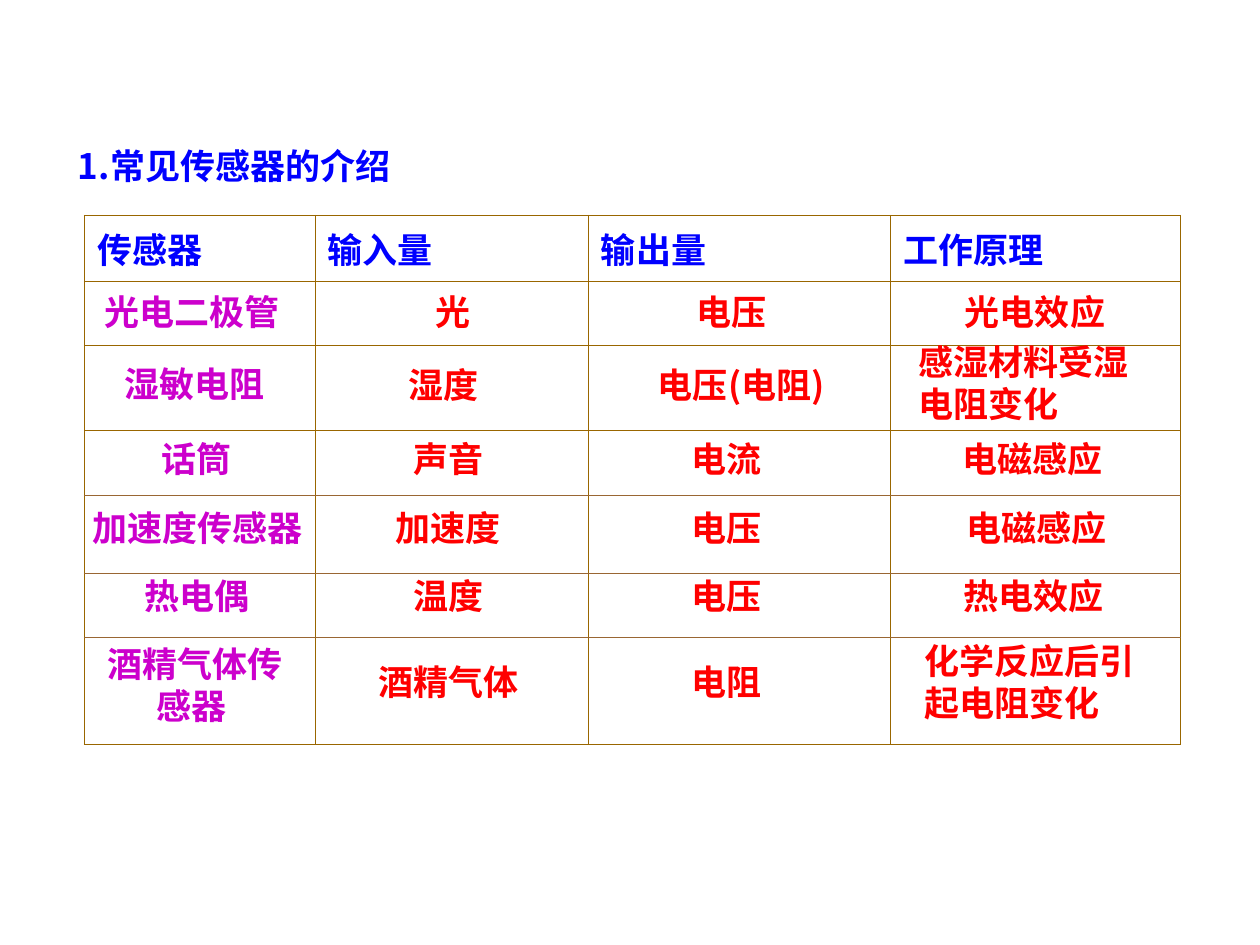
from lxml import etree
from pptx import Presentation
from pptx.dml.color import RGBColor
from pptx.enum.text import MSO_ANCHOR, MSO_AUTO_SIZE, PP_ALIGN
from pptx.oxml.ns import qn
from pptx.util import Inches, Pt

TOP, MIDDLE = MSO_ANCHOR.TOP, MSO_ANCHOR.MIDDLE
LEFT, CENTER = PP_ALIGN.LEFT, PP_ALIGN.CENTER
GROW = MSO_AUTO_SIZE.SHAPE_TO_FIT_TEXT
FONT = "Noto Sans CJK SC"
COLORS = {"blue": "0000FF", "red": "FF0000", "purple": "CC00CC",
          "brown": "996600", "dark": "996633"}


def write(frame, text, color="red", align=LEFT):
    par = frame.paragraphs[0]
    par.alignment = align
    run = par.add_run()
    run.text = text
    run.font.name = FONT
    run.font.size = Pt(20)
    run.font.bold = True
    run.font.color.rgb = RGBColor.from_string(COLORS[color])
    etree.SubElement(run.font._element, qn("a:ea"), typeface=FONT)


def border(cell, side, color, width):
    line = etree.SubElement(cell._tc.get_or_add_tcPr(), qn("a:" + side), w=str(Pt(width)))
    fill = etree.SubElement(line, qn("a:solidFill"))
    etree.SubElement(fill, qn("a:srgbClr"), val=COLORS[color])


prs = Presentation()
prs.slide_width, prs.slide_height = Inches(10), Inches(7.5)
slide = prs.slides.add_slide(prs.slide_layouts[6])

heads = ["传感器", "输入量", "输出量", "工作原理"]
widths = [1.83, 2.17, 2.4, 2.3]
heights = [0.52, 0.51, 0.68, 0.51, 0.62, 0.51, 0.85]
last_row, last_col = len(heights) - 1, len(widths) - 1
table = slide.shapes.add_table(len(heights), len(widths), Inches(0.67), Inches(1.71),
                               Inches(sum(widths)), Inches(sum(heights))).table
table.first_row = table.horz_banding = False
for col, width in zip(table.columns, widths):
    col.width = Inches(width)
for row, height in zip(table.rows, heights):
    row.height = Inches(height)

for r in range(len(heights)):
    for c in range(len(widths)):
        cell = table.cell(r, c)
        cell.vertical_anchor = MIDDLE
        border(cell, "lnL", "brown", 0.75 if c == 0 else 0.45)
        border(cell, "lnR", "brown", 0.75 if c == last_col else 0.45)
        border(cell, "lnT", "dark" if r > 3 else "brown", 0.75 if r == 0 else 0.45)
        border(cell, "lnB", "dark" if 3 <= r < last_row else "brown",
               0.75 if r == last_row else 0.45)
        cell.fill.background()
for c, head in enumerate(heads):
    write(table.cell(0, c).text_frame, head, color="blue")

names = [
    ("光电二极管 ", 0.49, 2.26, 2.13, 0.44),
    ("湿敏电阻 ", 0.51, 2.83, 2.13, 0.44),
    ("话筒 ", 0.74, 3.42, 1.71, 0.44),
    ("加速度传感器 ", 0.48, 3.97, 2.24, 0.44),
    ("热电偶 ", 0.53, 4.51, 2.13, 0.44),
    ("酒精气体传感器 ", 0.68, 5.05, 1.74, 0.77),
]
inputs = [
    ("光 ", 2.99, 2.25, 1.27, 0.44),
    ("湿度 ", 2.67, 2.83, 1.76, 0.44),
    ("声音 ", 2.78, 3.42, 1.62, 0.44),
    ("加速度 ", 2.78, 3.97, 1.62, 0.44),
    ("温度 ", 2.78, 4.51, 1.62, 0.44),
    ("酒精气体 ", 2.78, 5.19, 1.62, 0.44),
    ("电压 ", 5.18, 2.25, 1.31, 0.44),
    ("电压(电阻) ", 4.89, 2.83, 2.05, 0.44),
]
results = [
    ("电流", 5.39, 3.42, 1.44, 0.44),
    ("电压", 5.39, 3.97, 1.44, 0.44),
    ("电压", 5.39, 4.51, 1.44, 0.44),
    ("电阻", 5.39, 5.19, 1.44, 0.44),
    ("光电效应", 7.56, 2.25, 1.67, 0.44),
    ("感湿材料受湿电阻变化", 7.19, 2.65, 2.01, 0.77),
    ("电磁感应", 7.54, 3.42, 1.84, 0.44),
    ("电磁感应", 7.57, 3.97, 1.84, 0.44),
    ("热电效应", 7.55, 4.51, 1.84, 0.44),
    ("化学反应后引起电阻变化", 7.24, 5.02, 1.97, 0.77),
]
title = [("1.常见传感器的介绍", 0.52, 1.09, 3.99, 0.44)]

groups = [
    (title, "blue", LEFT, MIDDLE),
    (names, "purple", CENTER, TOP),
    (inputs, "red", CENTER, MIDDLE),
    (results, "red", LEFT, MIDDLE),
]
for items, color, align, anchor in groups:
    for text, *place in items:
        frame = slide.shapes.add_textbox(*map(Inches, place)).text_frame
        frame.word_wrap = True
        frame.auto_size = GROW
        frame.vertical_anchor = anchor
        write(frame, text, color=color, align=align)

prs.save("out.pptx")
